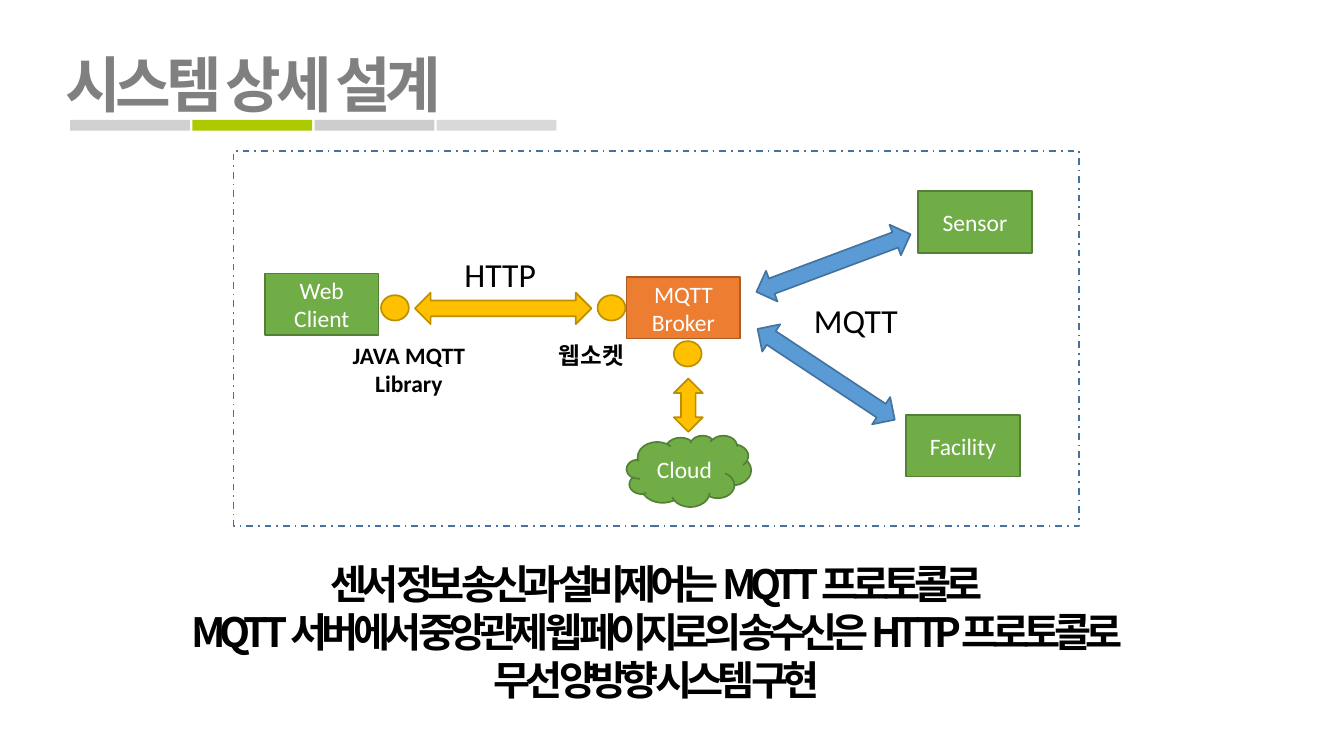
from lxml import etree
from pptx import Presentation
from pptx.dml.color import RGBColor
from pptx.enum import dml, shapes, text
from pptx.oxml.ns import qn
from pptx.util import Inches, Pt

COLORS = {
    "white": "FFFFFF", "black": "000000", "title": "808080",
    "green": "70AD47", "green_line": "538035",
    "orange": "ED7D31", "orange_line": "AF5C24",
    "blue": "5B9BD5", "blue_line": "43739E",
    "gold": "FFC000", "gold_line": "BD8E00",
}
LATIN, KOREAN = "Calibri", "Noto Sans CJK KR"
KIND = shapes.MSO_SHAPE

TITLE = ["시스템 상세 설계"]
SUMMARY = [
    "센서 정보 송신과 설비제어는 MQTT 프로토콜로",
    "MQTT 서버에서 중앙관제 웹 페이지로의 송수신은 HTTP프로토콜로",
    "무선 양방향 시스템 구현",
]
# lines, left, top, colour
NODES = [
    (["Web", "Client"], 2.19, 2.26, "green"),
    (["MQTT", "Broker"], 5.18, 2.29, "orange"),
    (["Sensor"], 7.59, 1.58, "green"),
    (["Facility"], 7.49, 3.43, "green"),
]
NODE_SIZE = (0.94, 0.51)
# left, top, width, height, rotation, colour
ARROWS = [
    (6.21, 2.04, 1.36, 0.27, 339.5, "blue"),
    (6.15, 2.96, 1.36, 0.27, 33.5, "blue"),
    (3.43, 2.42, 1.46, 0.26, 0, "gold"),
    (5.47, 3.23, 0.44, 0.24, 90, "gold"),
]
PORTS = [(4.94, 2.44), (3.15, 2.44), (5.57, 2.82)]
PORT_SIZE = (0.23, 0.21)
# lines, box, format
LABELS = [
    (["MQTT"], (6.63, 2.43, 1.28, 0.44), {"size": 20}),
    (["HTTP"], (3.74, 2.05, 1.28, 0.44), {"size": 20}),
    (["웹소켓"], (4.52, 2.77, 1.28, 0.34), {"bold": True}),
    (["JAVA MQTT", "Library"], (2.74, 2.77, 1.28, 0.57),
     {"bold": True, "centered": True}),
]
BAR_COLORS = ["D0D1D3", "ADC900", "CDCDCD", "D9D9D9"]
BAR_LEFT, BAR_TOP, BAR_WIDTH, BAR_HEIGHT, BAR_STEP = 0.58, 0.99, 0.99, 0.09, 1.01


def rgb(name):
    return RGBColor.from_string(COLORS.get(name, name))


def write(frame, lines, size=14, color="black", font=LATIN, bold=False,
          centered=False, spacing=0):
    """Fill a text frame, one paragraph a line; spacing is in points."""
    for index, line in enumerate(lines):
        paragraph = frame.paragraphs[0] if index == 0 else frame.add_paragraph()
        paragraph.alignment = (text.PP_ALIGN.CENTER if centered
                               else text.PP_ALIGN.LEFT)
        run = paragraph.add_run()
        run.text = line
        run.font.size, run.font.bold, run.font.name = Pt(size), bold, font
        run.font.color.rgb = rgb(color)
        properties = run.font._element
        if spacing:
            properties.set("spc", str(round(spacing * 100)))
        east_asian = etree.SubElement(properties, qn("a:ea"))
        east_asian.set("typeface", KOREAN)


def add_text(slide, lines, box, inset_top=0.05, **style):
    frame = slide.shapes.add_textbox(*map(Inches, box)).text_frame
    frame.word_wrap = True
    frame.margin_top = frame.margin_bottom = Inches(inset_top)
    write(frame, lines, **style)


def add_shape(slide, kind, box, fill=None, line=None, rotation=0, lines=()):
    shape = slide.shapes.add_shape(kind, *map(Inches, box))
    shape.shadow.inherit = False
    shape.rotation = rotation
    if fill:
        shape.fill.solid()
        shape.fill.fore_color.rgb = rgb(fill)
    else:
        shape.fill.background()
    if line:
        shape.line.color.rgb = rgb(line)
        shape.line.width = Pt(1)
    else:
        shape.line.fill.background()
    if lines:
        shape.text_frame.vertical_anchor = text.MSO_ANCHOR.MIDDLE
        write(shape.text_frame, lines, color="white", centered=True)
    return shape


def main():
    presentation = Presentation()
    presentation.slide_width, presentation.slide_height = Inches(11.11), Inches(6.25)
    slide = presentation.slides.add_slide(presentation.slide_layouts[6])

    add_text(slide, TITLE, (0.44, 0.39, 4.17, 0.61), inset_top=0, size=36,
             color="title", font=KOREAN, bold=True, spacing=-3)
    frame = add_shape(slide, KIND.RECTANGLE, (1.93, 1.25, 6.99, 3.1),
                      line="blue_line")
    frame.line.dash_style = dml.MSO_LINE.DASH_DOT

    for lines, left, top, color in NODES:
        add_shape(slide, KIND.RECTANGLE, (left, top, *NODE_SIZE), color,
                  f"{color}_line", lines=lines)
    add_shape(slide, KIND.CLOUD, (5.18, 3.6, 1.03, 0.59), "green",
              "green_line", lines=["Cloud"])
    for *box, rotation, color in ARROWS:
        add_shape(slide, KIND.LEFT_RIGHT_ARROW, box, color, f"{color}_line",
                  rotation)
    for port in PORTS:
        add_shape(slide, KIND.OVAL, (*port, *PORT_SIZE), "gold", "gold_line")

    for lines, box, style in LABELS:
        add_text(slide, lines, box, **style)
    add_text(slide, SUMMARY, (-0.23, 4.62, 11.32, 1.21), inset_top=0, size=24,
             font=KOREAN, bold=True, centered=True, spacing=-3.6)
    for index, color in enumerate(BAR_COLORS):
        add_shape(slide, KIND.RECTANGLE,
                  (BAR_LEFT + index * BAR_STEP, BAR_TOP, BAR_WIDTH, BAR_HEIGHT),
                  color)

    presentation.save("out.pptx")


if __name__ == "__main__":
    main()
